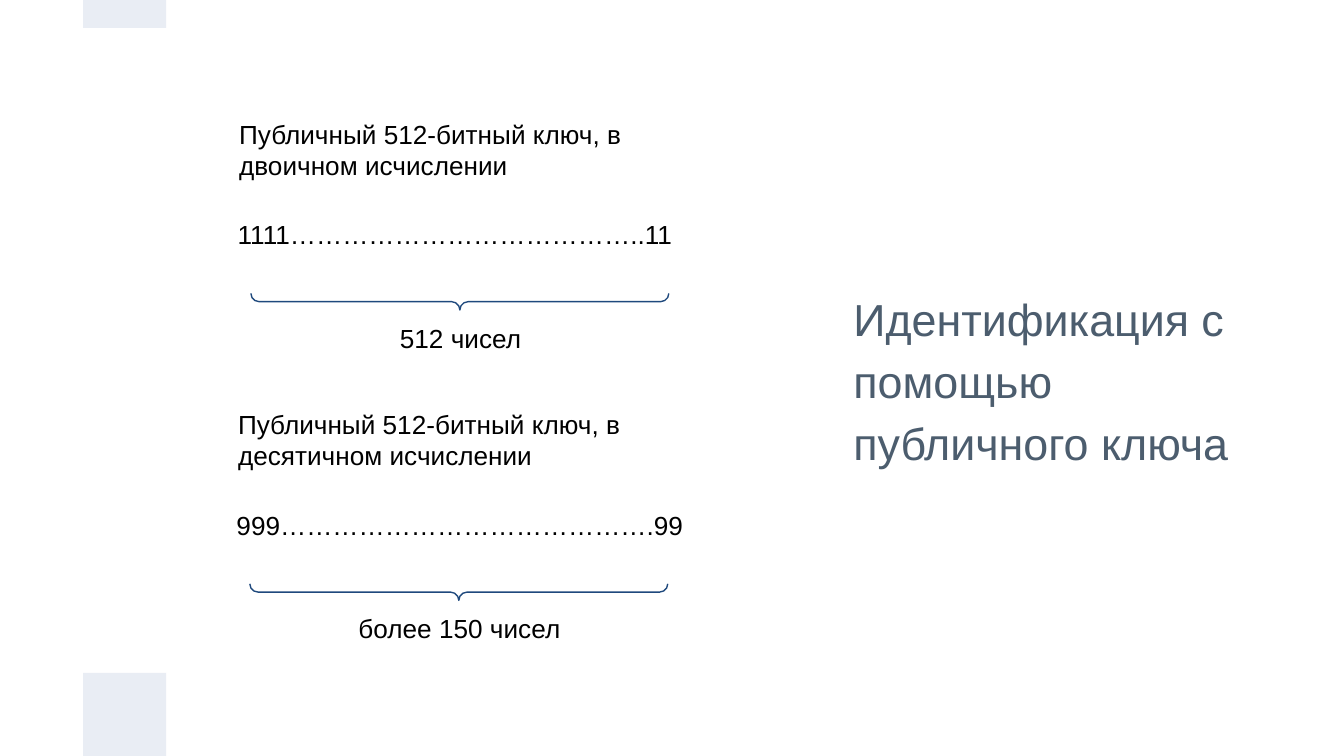
from pptx import Presentation
from pptx.dml.color import RGBColor as RGB
from pptx.enum.shapes import MSO_SHAPE as Shape
from pptx.enum.text import MSO_ANCHOR as Anchor, PP_ALIGN as Align
from pptx.util import Cm, Pt

# Content
TITLE = "Идентификация с помощью публичного ключа"
KEYS = [
    {"heading": "Публичный 512-битный ключ, в двоичном исчислении",
     "digits": "1111…………………………………..11", "digits_width": 9.3,
     "count": "512 чисел"},
    {"heading": "Публичный 512-битный ключ, в десятичном исчислении",
     "digits": "999…………………………………….99", "digits_width": 9.07,
     "count": "более 150 чисел"},
]

THEME = {
    "font": "Arial", "title_size": 24, "body_size": 14,
    "title": RGB(0x4C, 0x5D, 0x6E), "body": RGB(0, 0, 0),
    "accent": RGB(0xE9, 0xED, 0xF4), "brace": RGB(0x1F, 0x49, 0x7D),
    "paper": RGB(0xFF, 0xFF, 0xFF),
}

# Layout in centimetres
SLIDE_W, SLIDE_H = 25.4, 14.29
BAR = 1.57
KEY_STEP = 5.49
TEXT_W, TEXT_H = 9.07, 1.12

deck = Presentation()
deck.slide_width, deck.slide_height = Cm(SLIDE_W), Cm(SLIDE_H)
slide = deck.slides.add_slide(deck.slide_layouts[6])


def add_figure(kind, left, top, width, height, fill=None, line=None):
    figure = slide.shapes.add_shape(kind, Cm(left), Cm(top), Cm(width), Cm(height))
    figure.shadow.inherit = False
    if fill is None:
        figure.fill.background()
    else:
        figure.fill.solid()
        figure.fill.fore_color.rgb = fill
    if line is None:
        figure.line.fill.background()
    else:
        figure.line.color.rgb = line
        figure.line.width = Pt(0.75)
    return figure


def write(text, left, top, width, height, size=THEME["body_size"],
          color=THEME["body"], align=Align.LEFT, anchor=Anchor.TOP,
          spacing=None, fill=None):
    if fill is None:
        holder = slide.shapes.add_textbox(Cm(left), Cm(top), Cm(width), Cm(height))
    else:
        holder = add_figure(Shape.RECTANGLE, left, top, width, height, fill=fill)
    frame = holder.text_frame
    frame.word_wrap = True
    frame.vertical_anchor = anchor
    frame.margin_left = frame.margin_right = Cm(0.25)
    frame.margin_top = frame.margin_bottom = Cm(0.25)
    paragraph = frame.paragraphs[0]
    paragraph.alignment = align
    paragraph.line_spacing = spacing
    run = paragraph.add_run()
    run.text = text
    run.font.name = THEME["font"]
    run.font.size = Pt(size)
    run.font.color.rgb = color


# Accent bars at the top and bottom edges
for top, height in [(0, 0.53), (SLIDE_H - BAR, BAR)]:
    add_figure(Shape.RECTANGLE, BAR, top, BAR, height, fill=THEME["accent"])

# Title on the right
write(TITLE, 15.88, 1.57, 7.92, 11.1, size=THEME["title_size"],
      color=THEME["title"], anchor=Anchor.MIDDLE, spacing=1.15)

# Key blocks: the digits panel hides the upper half of each brace pair
for index, key in enumerate(KEYS):
    y = index * KEY_STEP
    shift = -0.02 * index
    brace = add_figure(Shape.DOUBLE_BRACE, 7.75 + shift, 0.97 + y, 1.88, 7.9,
                       line=THEME["brace"])
    brace.rotation = 90
    brace.adjustments[0] = 0.083
    write(key["heading"], 4.27 + shift, 1.98 + y, TEXT_W, TEXT_H)
    write(key["digits"], 4.24 + shift, 3.88 + y, key["digits_width"], 1.27,
          fill=THEME["paper"])
    write(key["count"], 4.17 + shift, 5.84 + y, TEXT_W, TEXT_H, align=Align.CENTER)

deck.save("out.pptx")
